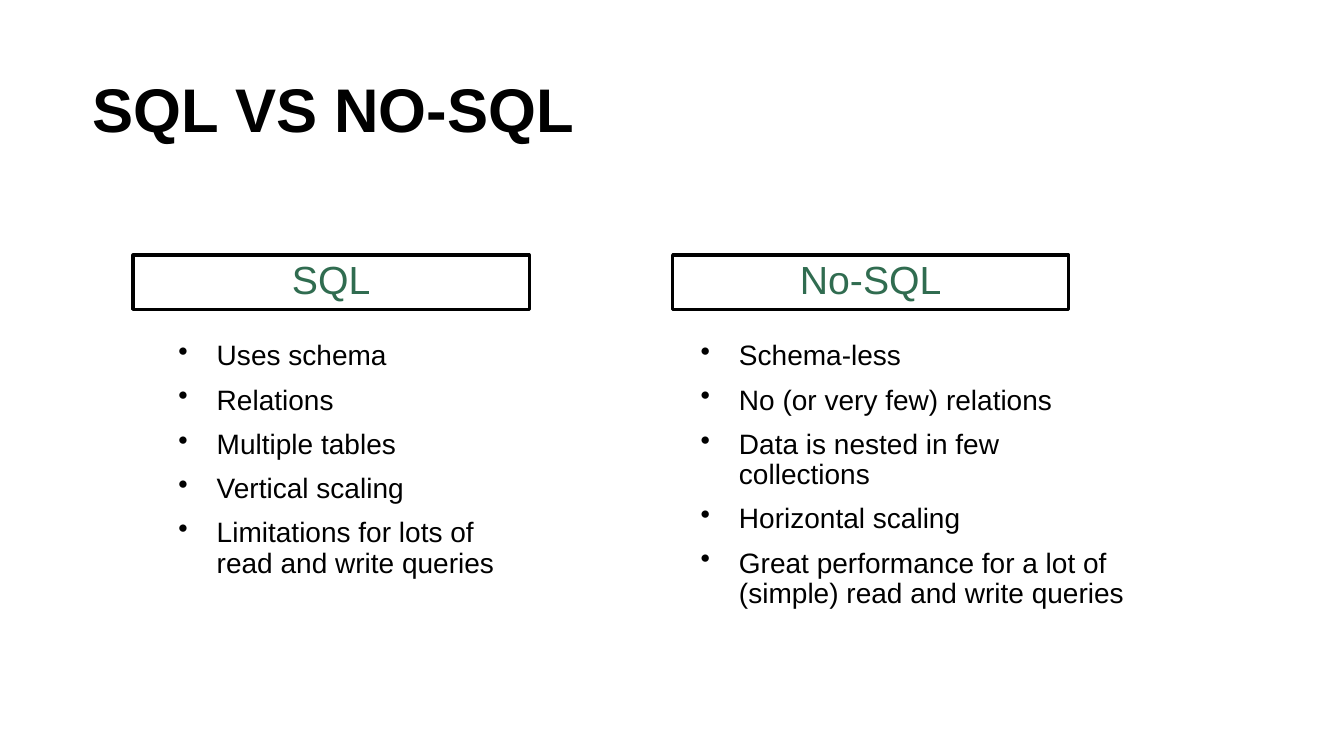
"""Build a slide that compares SQL with No-SQL in two headed bullet lists."""
import pptx
import pptx.dml.color
import pptx.enum.shapes
import pptx.enum.text
import pptx.oxml.ns
import pptx.util
import lxml.etree

THEME = {
    "font": "Arial",
    "ink": pptx.dml.color.RGBColor.from_string("000000"),
    "accent": pptx.dml.color.RGBColor.from_string("306C50"),
    "title": pptx.util.Pt(44),
    "heading": pptx.util.Pt(28),
    "body": pptx.util.Pt(20),
    "border": pptx.util.Pt(2.25),
    "gap": pptx.util.Pt(10),
    "inset": pptx.util.Inches(0.05),
    "indent": pptx.util.Inches(0.38),
}
ANCHOR = pptx.enum.text.MSO_ANCHOR
ALIGN = pptx.enum.text.PP_ALIGN

deck = pptx.Presentation()
deck.slide_width = pptx.util.Inches(13.33)
deck.slide_height = pptx.util.Inches(7.5)
page = deck.slides.add_slide(deck.slide_layouts[6])


def place(left, top, width, height):
    """Turn percentages of the slide into lengths."""
    across, down = deck.slide_width / 100, deck.slide_height / 100
    return [round(share) for share in (left * across, top * down, width * across, height * down)]


def write(box, lines, size, colour, anchor=ANCHOR.TOP, align=ALIGN.LEFT, bold=False, bullets=False):
    """Fill a box with paragraphs of one style."""
    frame = box.text_frame
    frame_format = {"word_wrap": True, "vertical_anchor": anchor}
    for side in ("left", "top", "right", "bottom"):
        frame_format[f"margin_{side}"] = THEME["inset"]
    for name, value in frame_format.items():
        setattr(frame, name, value)
    for index, line in enumerate(lines):
        para = frame.add_paragraph() if index else frame.paragraphs[0]
        if bullets:
            properties = para._p.get_or_add_pPr()
            properties.set("marL", str(THEME["indent"]))
            properties.set("indent", str(-THEME["indent"]))
            bullet = lxml.etree.SubElement(properties, pptx.oxml.ns.qn("a:buChar"))
            bullet.set("char", "•")
        para_format = {"alignment": align, "line_spacing": 0.9, "space_before": THEME["gap"] if index else 0}
        for name, value in para_format.items():
            setattr(para, name, value)
        span = para.add_run()
        span.text = line
        span.font.color.rgb = colour
        for name, value in {"name": THEME["font"], "size": size, "bold": bold}.items():
            setattr(span.font, name, value)


title = page.shapes.add_textbox(*place(6.53, 8.93, 77.49, 11.87))
write(title, ["SQL VS NO-SQL"], THEME["title"], THEME["ink"], anchor=ANCHOR.MIDDLE, bold=True)

columns = [
    {
        "heading": "SQL",
        "heading_left": 9.9,
        "list_left": 12.9,
        "list_width": 26.03,
        "points": [
            "Uses schema",
            "Relations",
            "Multiple tables",
            "Vertical scaling",
            "Limitations for lots of read and write queries",
        ],
    },
    {
        "heading": "No-SQL",
        "heading_left": 50.04,
        "list_left": 51.76,
        "list_width": 33.08,
        "points": [
            "Schema-less",
            "No (or very few) relations",
            "Data is nested in few collections",
            "Horizontal scaling",
            "Great performance for a lot of (simple) read and write queries",
        ],
    },
]

for column in columns:
    points = page.shapes.add_textbox(*place(column["list_left"], 44.53, column["list_width"], 26.4))
    write(points, column["points"], THEME["body"], THEME["ink"], bullets=True)

    heading = page.shapes.add_shape(
        pptx.enum.shapes.MSO_SHAPE.RECTANGLE, *place(column["heading_left"], 33.73, 29.48, 7.2)
    )
    heading.shadow.inherit = False
    heading.fill.background()
    heading.line.color.rgb = THEME["ink"]
    heading.line.width = THEME["border"]
    write(
        heading, [column["heading"]], THEME["heading"], THEME["accent"],
        anchor=ANCHOR.MIDDLE, align=ALIGN.CENTER,
    )

deck.save("out.pptx")
